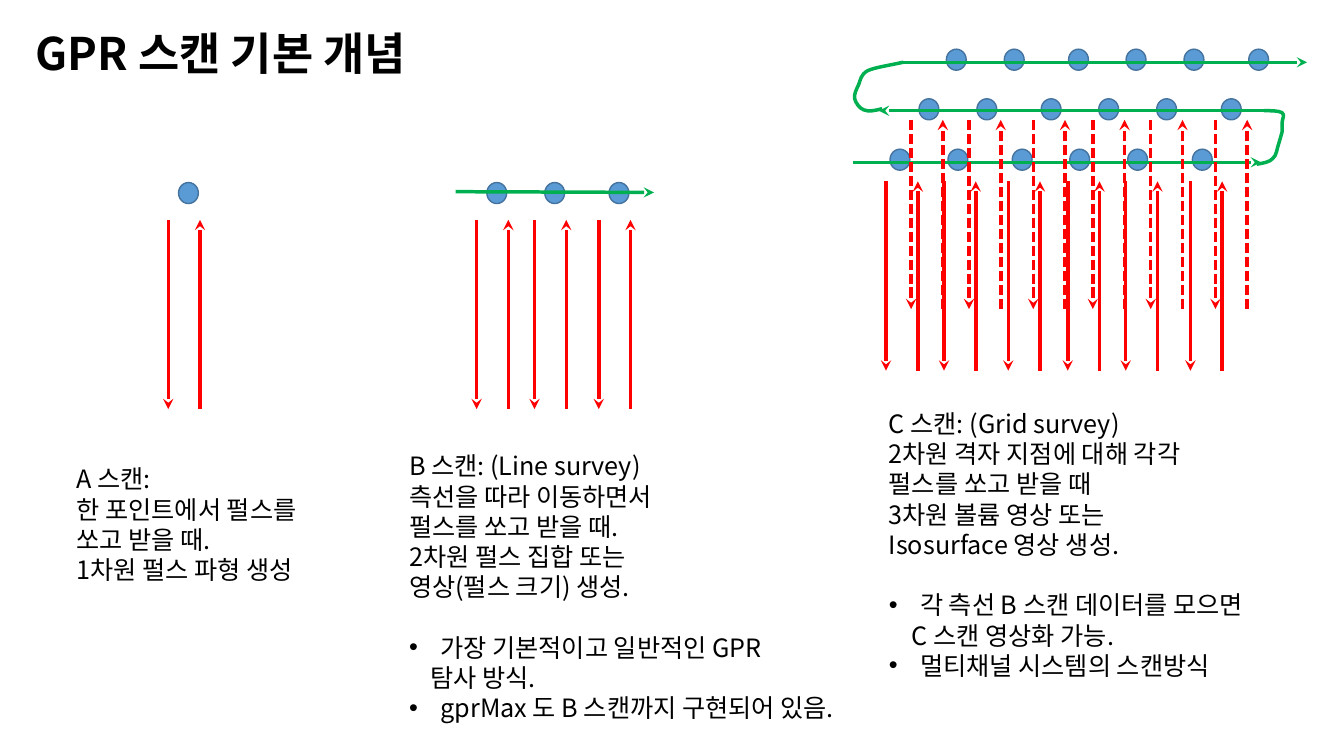
from lxml.etree import SubElement
from pptx import Presentation
from pptx.dml.color import RGBColor
from pptx.enum.dml import MSO_LINE
from pptx.enum.shapes import MSO_CONNECTOR, MSO_SHAPE
from pptx.enum.text import MSO_ANCHOR, MSO_AUTO_SIZE, PP_ALIGN
from pptx.oxml.ns import qn
from pptx.util import Cm, Pt

FONT = "Noto Sans CJK KR"
BLACK = RGBColor(0x00, 0x00, 0x00)
RED = RGBColor(0xFF, 0x00, 0x00)
GREEN = RGBColor(0x00, 0xB0, 0x50)
BLUE = RGBColor(0x5B, 0x9B, 0xD5)
NAVY = RGBColor(0x43, 0x73, 0x9E)

TITLE = "GPR 스캔 기본 개념"

DOT_STEPS = (0, 1.46, 3.08, 4.53, 5.99, 7.62)
PULSE_STEPS = (0, 1.46, 3.08, 4.58, 6.04, 7.67)
DOT_WIDTH, DOT_HEIGHT = 0.5, 0.53
PULSE_LENGTH, ECHO_GAP = 4.77, 0.8

SURVEY_ROWS = [
    {"dots": (4.5, 4.6), "count": 1},
    {"dots": (12.27, 4.6), "count": 3, "track": ((11.48, 4.83), (16.48, 4.85))},
    {"dots": (22.43, 3.76), "count": 6, "track": ((21.49, 4.09), (31.78, 4.09))},
    {"dots": (23.16, 2.49), "count": 6, "track": ((31.88, 2.79), (22.15, 2.79))},
    {"dots": (23.85, 1.24), "count": 6, "track": ((22.66, 1.57), (32.94, 1.57))},
]
TURNS = [
    [(31.67, 4.14),
     (31.83, 4.11), (32, 4.09), (32.08, 3.99),
     (32.18, 3.91), (32.18, 3.73), (32.23, 3.61),
     (32.26, 3.51), (32.28, 3.43), (32.31, 3.33),
     (32.31, 3.25), (32.31, 3.1), (32.31, 3.1),
     (32.31, 3), (32.39, 2.9), (32.31, 2.84),
     (32.23, 2.79), (32.03, 2.79), (31.85, 2.79)],
    [(22.23, 2.74),
     (22.05, 2.79), (21.89, 2.82), (21.77, 2.77),
     (21.67, 2.74), (21.56, 2.59), (21.54, 2.49),
     (21.51, 2.39), (21.59, 2.24), (21.64, 2.13),
     (21.69, 2.01), (21.69, 1.88), (21.87, 1.78),
     (22.05, 1.7), (22.4, 1.65), (22.76, 1.57)],
]
PULSE_GROUPS = [
    {"left": 4.24, "top": 5.54, "count": 1},
    {"left": 12.01, "top": 5.54, "count": 3},
    {"left": 22.33, "top": 4.57, "count": 6},
    {"left": 22.96, "top": 3.02, "count": 6, "dash": MSO_LINE.SQUARE_DOT},
]

BULLET = {"margin": 0.79, "bullet": True}
NOTES = [
    ((1.68, 11.56, 6.96, 3.33), [
        ("A 스캔:", {}),
        ("한 포인트에서 펄스를", {}),
        ("쏘고 받을 때.", {}),
        ("1차원 펄스 파형 생성", {}),
    ]),
    ((10.06, 11.23, 12.47, 7.19), [
        ("B 스캔: (Line survey)", {}),
        ("측선을 따라 이동하면서", {}),
        ("펄스를 쏘고 받을 때.", {}),
        ("2차원 펄스 집합 또는", {}),
        ("영상(펄스 크기) 생성.", {}),
        ("가장 기본적이고 일반적인 GPR", {**BULLET, "before": 21.6}),
        ("탐사 방식.", {"margin": 0.53}),
        ("gprMax 도 B 스캔까지 구현되어 있음.", BULLET),
    ]),
    ((22.15, 10.16, 10.52, 7.19), [
        ("C 스캔: (Grid survey)", {}),
        ("2차원 격자 지점에 대해 각각", {}),
        ("펄스를 쏘고 받을 때", {}),
        ("3차원 볼륨 영상 또는", {}),
        ("Isosurface 영상 생성.", {}),
        ("각 측선 B 스캔 데이터를 모으면", {**BULLET, "before": 21.6}),
        ("C 스캔 영상화 가능.", {"margin": 0.58}),
        ("멀티채널 시스템의 스캔방식", BULLET),
    ]),
]


def write(paragraph, text, size=18, bold=False, margin=0, bullet=False, before=0, spacing=1.0):
    paragraph.alignment = PP_ALIGN.LEFT
    paragraph.line_spacing = spacing
    paragraph.space_before = Pt(before)
    properties = paragraph._p.get_or_add_pPr()
    properties.set("marL", str(Cm(margin)))
    properties.set("indent", str(-Cm(margin) if bullet else 0))
    if bullet:
        SubElement(properties, qn("a:buFont"), typeface="Arial")
        SubElement(properties, qn("a:buChar"), char="•")
    run = paragraph.add_run()
    run.text = text
    run.font.size = Pt(size)
    run.font.bold = bold
    run.font.name = FONT
    run.font.color.rgb = BLACK
    SubElement(run._r.get_or_add_rPr(), qn("a:ea"), typeface=FONT)


def place(shape, left, top, width, height):
    shape.left, shape.top = Cm(left), Cm(top)
    shape.width, shape.height = Cm(width), Cm(height)


def add_arrow(shapes, start, end, color, dash=None):
    arrow = shapes.add_connector(MSO_CONNECTOR.STRAIGHT, *map(Cm, start + end))
    arrow.line.color.rgb = color
    arrow.line.width = Pt(2.5)
    if dash:
        arrow.line.dash_style = dash
    SubElement(arrow.line._get_or_add_ln(), qn("a:tailEnd"), type="stealth")
    SubElement(arrow._element.spPr, qn("a:effectLst"))


def add_dot(shapes, left, top):
    dot = shapes.add_shape(MSO_SHAPE.OVAL, Cm(left), Cm(top), Cm(DOT_WIDTH), Cm(DOT_HEIGHT))
    dot.shadow.inherit = False
    dot.fill.solid()
    dot.fill.fore_color.rgb = BLUE
    dot.line.color.rgb = NAVY
    dot.line.width = Pt(1)


def add_turn(shapes, points):
    start, *controls = [(Cm(x), Cm(y)) for x, y in points]
    builder = shapes.build_freeform(*start)
    builder.add_line_segments(controls, close=False)
    turn = builder.convert_to_shape()
    turn.shadow.inherit = False
    turn.fill.background()
    turn.line.color.rgb = GREEN
    turn.line.width = Pt(2.5)
    outline = next(turn._element.iter(qn("a:path")))
    segments = outline.findall(qn("a:lnTo"))
    for first in range(0, len(segments), 3):
        curve = SubElement(outline, qn("a:cubicBezTo"))
        for segment in segments[first:first + 3]:
            curve.append(segment[0])
            outline.remove(segment)


def add_pulses(shapes, left, top, count, dash=None):
    bottom = top + PULSE_LENGTH
    for step in PULSE_STEPS[:count]:
        sent = left + step
        echo = sent + ECHO_GAP
        add_arrow(shapes, (sent, top), (sent, bottom), RED, dash)
        add_arrow(shapes, (echo, bottom), (echo, top), RED, dash)


def main():
    deck = Presentation()
    deck.slide_width, deck.slide_height = Cm(33.87), Cm(19.05)
    slide = deck.slides.add_slide(deck.slide_layouts[5])
    shapes = slide.shapes

    title = shapes.title
    place(title, 0.64, 0.61, 30.91, 1.6)
    title.text_frame.auto_size = MSO_AUTO_SIZE.NONE
    title.text_frame.vertical_anchor = MSO_ANCHOR.MIDDLE
    write(title.text_frame.paragraphs[0], TITLE, size=32, bold=True, spacing=0.9)

    for row in SURVEY_ROWS:
        left, top = row["dots"]
        for step in DOT_STEPS[:row["count"]]:
            add_dot(shapes, left + step, top)
        if "track" in row:
            add_arrow(shapes, *row["track"], GREEN)
    for points in TURNS:
        add_turn(shapes, points)
    for group in PULSE_GROUPS:
        add_pulses(shapes, **group)

    for box, lines in NOTES:
        frame = shapes.add_textbox(*map(Cm, box)).text_frame
        frame.word_wrap = True
        for index, (text, style) in enumerate(lines):
            paragraph = frame.add_paragraph() if index else frame.paragraphs[0]
            write(paragraph, text, **style)

    deck.save("out.pptx")


if __name__ == "__main__":
    main()
